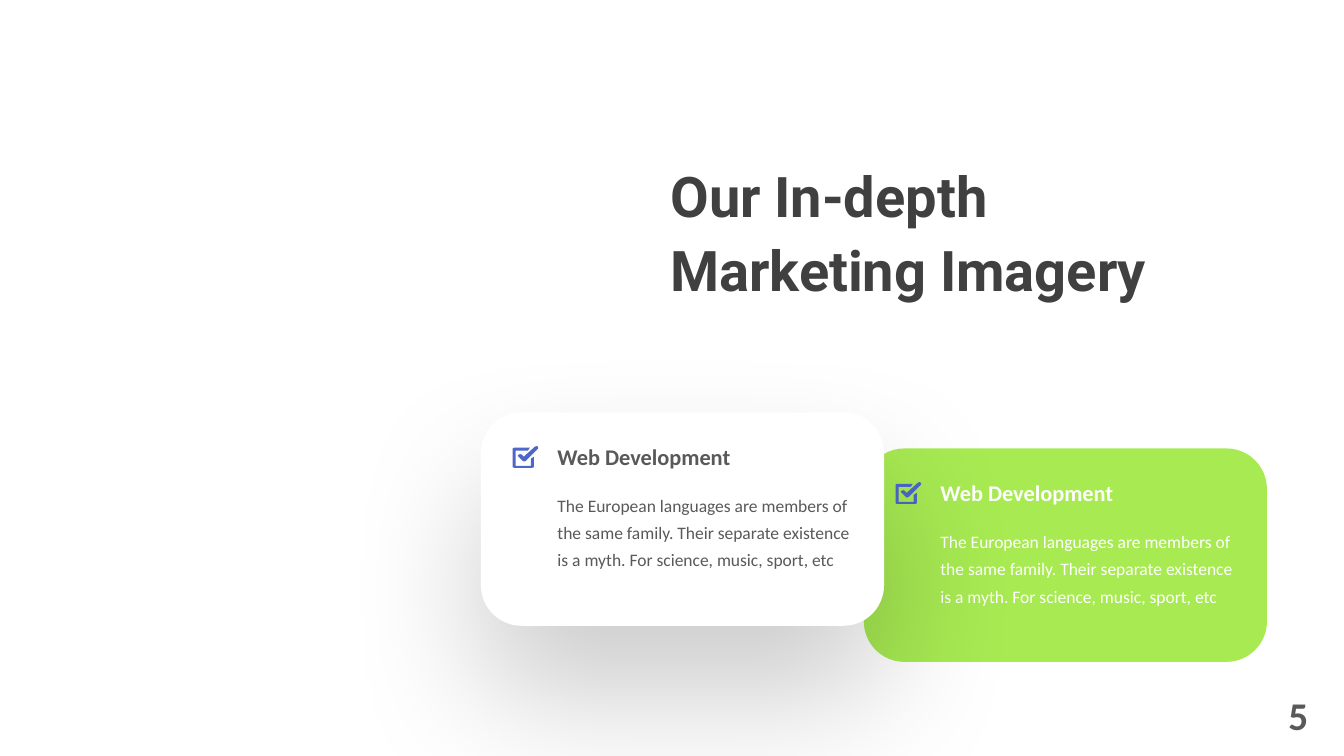
from dataclasses import dataclass

import lxml.etree
import pptx
import pptx.dml.color
import pptx.enum.shapes
import pptx.enum.text
import pptx.oxml.ns
import pptx.shapes.autoshape
import pptx.slide
import pptx.text.text
import pptx.util
from pptx.util import Cm


@dataclass(frozen=True)
class Theme:
    title_font: str = "Roboto"
    body_font: str = "Calibri"
    title_size: float = 40
    number_size: float = 28
    heading_size: float = 16
    body_size: float = 12.5
    title_color: str = "404040"
    text_color: str = "595959"
    white: str = "FFFFFF"
    green: str = "A7EA52"
    icon_color: str = "4E67C8"
    shadow_color: str = "000000"


@dataclass(frozen=True)
class Card:
    left: float
    top: float
    fill: str
    ink: str
    heading: str
    body: str
    raised: bool = False


THEME = Theme()
CARD_WIDTH, CARD_HEIGHT = 10.16, 5.38
HEADING = "Web Development"
BODY = (
    "The European languages are members of the same family. "
    "Their separate existence is a myth. For science, music, sport, etc"
)
# From back to front, in centimetres
CARDS = [
    Card(21.77, 11.3, THEME.green, THEME.white, HEADING, BODY),
    Card(12.12, 10.39, THEME.white, THEME.text_color, HEADING, BODY, raised=True),
]

# Outlines of the ticked box, in units of ICON_UNIT centimetres
ICON_UNIT = 0.0254
ICON_BOX = [
    (0, 21), (0, 3), (0.5, 2.2), (2, 2), (17, 2), (15, 5), (3, 5), (3, 20),
    (18, 20), (18, 13), (21, 11), (21, 21), (20.5, 21.8), (19, 22), (2, 22),
    (0.5, 21.8),
]
ICON_TICK = [
    (11, 11), (9, 9), (7.5, 8.3), (6, 9), (5, 10), (6, 11), (10, 15),
    (11.5, 15.7), (13, 15), (25, 3), (25.3, 2), (25, 1), (23.7, 0.3), (22, 1),
]


def rgb(value: str) -> pptx.dml.color.RGBColor:
    return pptx.dml.color.RGBColor.from_string(value)


def write(
    frame: pptx.text.text.TextFrame,
    text: str,
    *,
    size: float,
    color: str,
    font: str = THEME.body_font,
    bold: bool = False,
    line_spacing: float = 1.0,
    space_after: float = 0,
    align: pptx.enum.text.PP_ALIGN = pptx.enum.text.PP_ALIGN.LEFT,
) -> None:
    frame.word_wrap = True
    frame.auto_size = pptx.enum.text.MSO_AUTO_SIZE.SHAPE_TO_FIT_TEXT
    frame.vertical_anchor = pptx.enum.text.MSO_ANCHOR.TOP
    para = frame.paragraphs[0]
    para.alignment = align
    para.line_spacing = line_spacing
    para.space_before = pptx.util.Pt(0)
    para.space_after = pptx.util.Pt(space_after)
    span = para.add_run()
    span.text = text
    span.font.name = font
    span.font.size = pptx.util.Pt(size)
    span.font.bold = bold
    span.font.color.rgb = rgb(color)


def add_text_box(
    page: pptx.slide.Slide, left: float, top: float, width: float, height: float
) -> pptx.text.text.TextFrame:
    box = page.shapes.add_textbox(Cm(left), Cm(top), Cm(width), Cm(height))
    return box.text_frame


def paint(shape: pptx.shapes.autoshape.Shape, color: str) -> None:
    """Give a plain fill with neither outline nor shadow."""
    shape.fill.solid()
    shape.fill.fore_color.rgb = rgb(color)
    shape.line.fill.background()
    shape.shadow.inherit = False


def cast_shadow(shape: pptx.shapes.autoshape.Shape) -> None:
    """Put a wide, soft shadow below a painted shape."""
    qn = pptx.oxml.ns.qn
    effects = shape.element.spPr.find(qn("a:effectLst"))
    shadow = lxml.etree.SubElement(
        effects,
        qn("a:outerShdw"),
        blurRad=str(pptx.util.Pt(100)),
        dist=str(pptx.util.Pt(50)),
        dir=str(90 * 60000),
        algn="t",
        rotWithShape="0",
    )
    color = lxml.etree.SubElement(shadow, qn("a:srgbClr"), val=THEME.shadow_color)
    lxml.etree.SubElement(color, qn("a:alpha"), val="20000")


def add_check_icon(page: pptx.slide.Slide, left: float, top: float) -> None:
    box, tick = (
        [(Cm(left + x * ICON_UNIT), Cm(top + y * ICON_UNIT)) for x, y in outline]
        for outline in (ICON_BOX, ICON_TICK)
    )
    builder = page.shapes.build_freeform(*box[0])
    builder.add_line_segments(box[1:])
    builder.move_to(*tick[0])
    builder.add_line_segments(tick[1:])
    paint(builder.convert_to_shape(), THEME.icon_color)


def add_card(page: pptx.slide.Slide, card: Card) -> None:
    panel = page.shapes.add_shape(
        pptx.enum.shapes.MSO_SHAPE.ROUNDED_RECTANGLE,
        Cm(card.left), Cm(card.top), Cm(CARD_WIDTH), Cm(CARD_HEIGHT),
    )
    panel.adjustments[0] = 0.19
    paint(panel, card.fill)
    if card.raised:
        cast_shadow(panel)
    text_left = card.left + 1.68
    write(
        add_text_box(page, text_left, card.top + 1.8, 8.05, 2.29),
        card.body, size=THEME.body_size, color=card.ink,
        line_spacing=1.3, space_after=7.5,
    )
    write(
        add_text_box(page, text_left, card.top + 0.66, 8.05, 0.94),
        card.heading, size=THEME.heading_size, color=card.ink, bold=True,
    )
    add_check_icon(page, card.left + 0.8, card.top + 0.84)


def main() -> None:
    deck = pptx.Presentation()
    deck.slide_width, deck.slide_height = Cm(33.87), Cm(19.05)
    page = deck.slides.add_slide(deck.slide_layouts.get_by_name("Title Only"))

    title = page.shapes.title
    title.left, title.top = Cm(16.64), Cm(3.78)
    title.width, title.height = Cm(14.73), Cm(3.91)
    write(
        title.text_frame, "Our In-depth Marketing Imagery",
        size=THEME.title_size, color=THEME.title_color,
        font=THEME.title_font, bold=True, line_spacing=1.1,
    )
    for card in CARDS:
        add_card(page, card)
    write(
        add_text_box(page, 29.16, 17.3, 4.06, 1.45), "5",
        size=THEME.number_size, color=THEME.text_color, bold=True,
        align=pptx.enum.text.PP_ALIGN.RIGHT,
    )
    deck.save("out.pptx")


if __name__ == "__main__":
    main()
